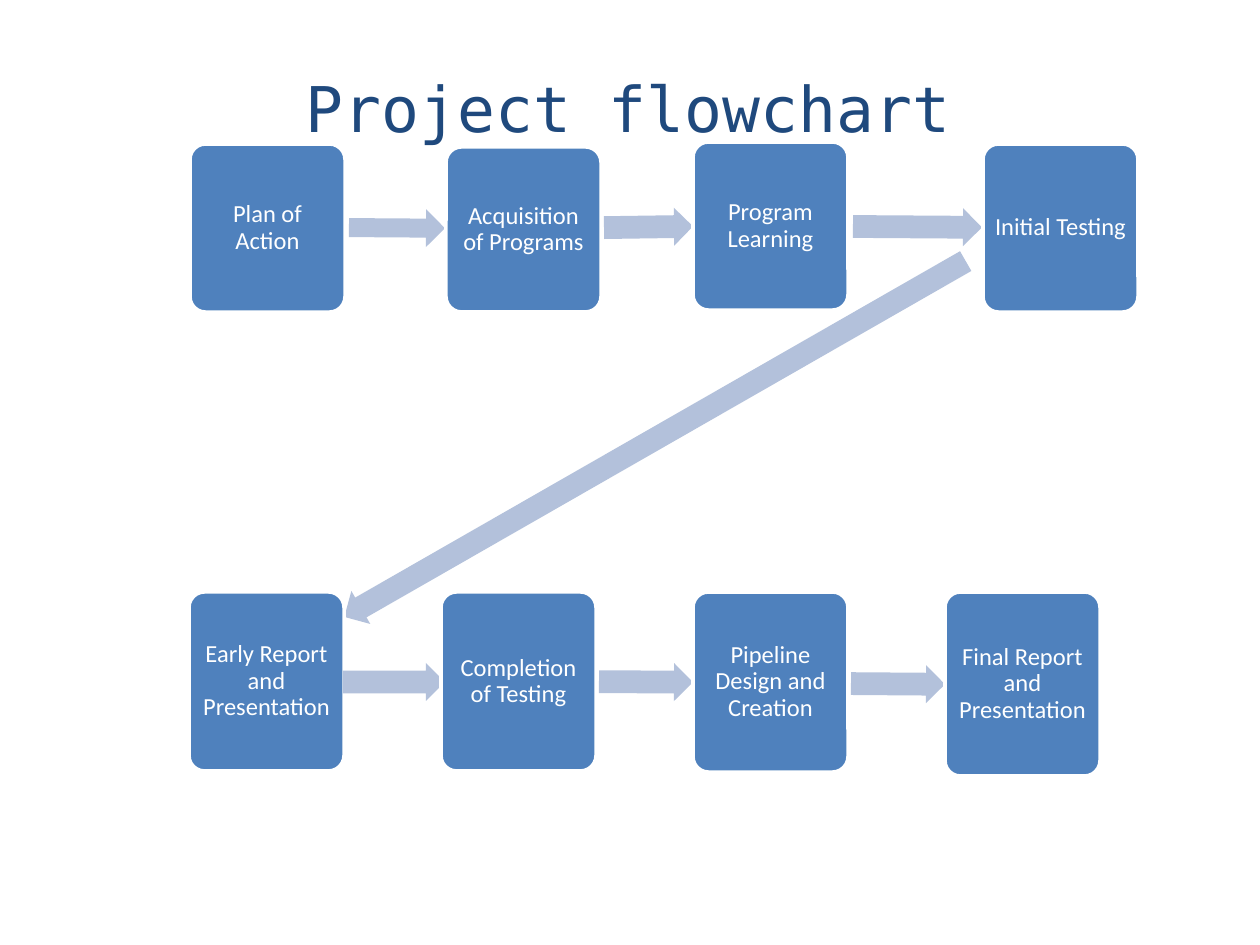
from dataclasses import dataclass
from typing import Any

from pptx import Presentation
from pptx.dml.color import RGBColor as Rgb
from pptx.enum.shapes import MSO_SHAPE as Kind
from pptx.enum.text import MSO_ANCHOR as Anchor, MSO_AUTO_SIZE as Fit, PP_ALIGN as Align
from pptx.util import Emu, Pt

SCALE = 914400 / 126


@dataclass(frozen=True)
class Theme:
    """Colours, fonts and type sizes."""
    title: Rgb = Rgb.from_string("1F497D")
    box: Rgb = Rgb.from_string("4F81BD")
    arrow: Rgb = Rgb.from_string("B3C1DB")
    white: Rgb = Rgb.from_string("FFFFFF")
    head_font: str = "DejaVu Sans Mono"
    body_font: str = "Calibri"
    head_size: Pt = Pt(36)
    body_size: Pt = Pt(14)
    edge: Pt = Pt(2)


@dataclass(frozen=True)
class Step:
    """A box of the flow."""
    text: str
    left: int
    top: int
    height: int
    width: int = 155


@dataclass(frozen=True)
class Arrow:
    """A block arrow that leads to the next box."""
    left: int
    top: int
    width: int
    turn: float = 0
    shaft: float = 0.6
    height: int = 38


THEME = Theme()
FLOW = [
    Step("Plan of Action", 190, 144, 168),
    Arrow(349, 209, 96, 0.4, 0.5),
    Step("Acquisition of Programs", 446, 147, 165),
    Arrow(604, 208, 89, 359.2),
    Step("Program Learning", 693, 142, 168),
    Arrow(853, 208, 129, 0.4),
    Step("Initial Testing", 983, 144, 168),
    Arrow(297, 420, 716, 150.2),
    Step("Early Report and Presentation", 189, 592, 179),
    Arrow(343, 663, 102),
    Step("Completion of Testing", 441, 592, 179),
    Arrow(599, 663, 94, 0.3),
    Step("Pipeline Design and Creation", 693, 592, 180),
    Arrow(851, 665, 94, 0.4),
    Step("Final Report and Presentation", 945, 592, 184),
]


def px(size: int) -> Emu:
    """Turn pixels into EMU."""
    return Emu(round(size * SCALE))


def style(item: Any, form: dict[str, Any]) -> None:
    """Set the attributes of an item from format values."""
    for name, value in form.items():
        setattr(item, name, value)


def write(shape: Any, text: str, font: dict[str, Any], para: dict[str, Any],
          anchor: Anchor, inset: int) -> None:
    """Put one centred paragraph into a shape."""
    frame = shape.text_frame
    frame.text = text
    sides = ("left", "right", "top", "bottom")
    style(frame, {f"margin_{side}": px(inset) for side in sides})
    style(frame, {"word_wrap": True, "auto_size": Fit.NONE, "vertical_anchor": anchor})
    line = frame.paragraphs[0]
    style(line, {"alignment": Align.CENTER, **para})
    color = font.pop("color")
    style(line.runs[0].font, font)
    line.runs[0].font.color.rgb = color


def block(slide: Any, part: Step | Arrow, kind: Kind, fill: Rgb) -> Any:
    """Add a plain filled shape."""
    shape = slide.shapes.add_shape(
        kind, px(part.left), px(part.top), px(part.width), px(part.height))
    shape.shadow.inherit = False
    shape.fill.solid()
    shape.fill.fore_color.rgb = fill
    return shape


def draw_step(slide: Any, step: Step) -> None:
    """Draw a rounded box with its label."""
    shape = block(slide, step, Kind.ROUNDED_RECTANGLE, THEME.box)
    shape.adjustments[0] = 0.1
    shape.line.color.rgb = THEME.white
    shape.line.width = THEME.edge
    font = {"name": THEME.body_font, "size": THEME.body_size, "color": THEME.white}
    write(shape, step.text, font, {"line_spacing": 0.9}, Anchor.MIDDLE, 7)


def draw_arrow(slide: Any, arrow: Arrow) -> None:
    """Draw a turned block arrow without an outline."""
    shape = block(slide, arrow, Kind.RIGHT_ARROW, THEME.arrow)
    shape.line.fill.background()
    shape.adjustments[0] = arrow.shaft
    shape.rotation = arrow.turn


def draw_title(slide: Any, text: str) -> None:
    """Place and fill the title placeholder."""
    title = slide.shapes.title
    style(title, {"left": px(122), "top": px(63), "width": px(1012), "height": px(242)})
    font = {"name": THEME.head_font, "size": THEME.head_size, "color": THEME.title}
    write(title, text, font, {"space_before": Pt(4)}, Anchor.TOP, 6)


def main() -> None:
    """Build and save the slide."""
    deck = Presentation()
    style(deck, {"slide_width": px(1260), "slide_height": px(945)})
    slide = deck.slides.add_slide(deck.slide_layouts[5])
    draw_title(slide, "Project flowchart")
    for part in FLOW:
        if isinstance(part, Step):
            draw_step(slide, part)
        else:
            draw_arrow(slide, part)
    deck.save("out.pptx")


main()
